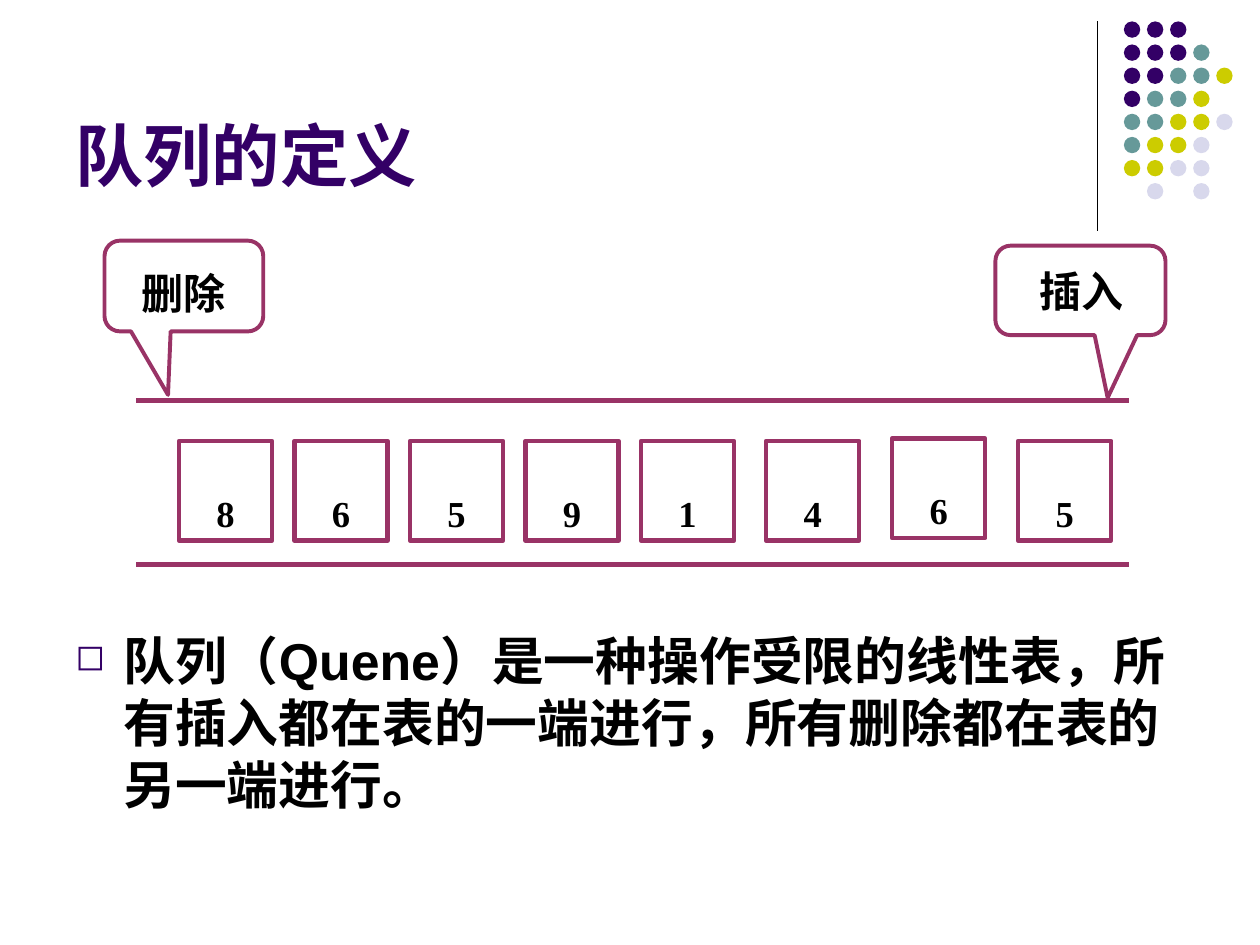
from pptx import Presentation, util as u
from pptx.dml import color
from pptx.enum import shapes, text
from pptx.oxml import ns
from lxml import etree

INK, WINE, BLACK, WHITE = "330066", "993366", "000000", "FFFFFF"
LATIN, SERIF, HAN = "Arial", "Times New Roman", "Noto Sans CJK SC"
KIND = shapes.MSO_SHAPE
LEFT, MID = text.PP_ALIGN.LEFT, text.PP_ALIGN.CENTER
LOW, HALF, TOP = (text.MSO_ANCHOR.BOTTOM, text.MSO_ANCHOR.MIDDLE,
                  text.MSO_ANCHOR.TOP)


def rgb(code):
    return color.RGBColor.from_string(code)


def apply(target, values):
    for key, value in values.items():
        setattr(target, key, value)


def add(parent, tag, **attrs):
    node = etree.SubElement(parent, ns.qn(tag))
    for key, value in attrs.items():
        node.set(key, value)
    return node


class Deck:
    def __init__(self, wide, high):
        self.show = Presentation()
        self.show.slide_width = u.Inches(wide)
        self.show.slide_height = u.Inches(high)
        self.slide = self.show.slides.add_slide(self.show.slide_layouts[6])
        self.items = self.slide.shapes

    def shape(self, kind, box, fill=None, line=None, width=2.5):
        item = self.items.add_shape(kind, *map(u.Inches, box))
        item.shadow.inherit = False
        if fill:
            item.fill.solid()
            item.fill.fore_color.rgb = rgb(fill)
        else:
            item.fill.background()
        if line:
            item.line.color.rgb = rgb(line)
            item.line.width = u.Pt(width)
        else:
            item.line.fill.background()
        return item

    def rule(self, start, end, tone, width):
        item = self.items.add_connector(
            shapes.MSO_CONNECTOR.STRAIGHT, *map(u.Inches, start + end))
        item.line.color.rgb = rgb(tone)
        item.line.width = u.Pt(width)
        add(item._element.spPr, "a:effectLst")

    def letter(self, item, words, size, face, tone=BLACK, align=MID,
               anchor=HALF, base=0, foot=0.05):
        """Put one bold paragraph into a shape and return the paragraph."""
        frame = item.text_frame
        apply(frame, {"word_wrap": True, "vertical_anchor": anchor,
                      "margin_left": u.Inches(0.1),
                      "margin_right": u.Inches(0.1),
                      "margin_top": u.Inches(0.05),
                      "margin_bottom": u.Inches(foot)})
        para = frame.paragraphs[0]
        para.alignment = align
        run = para.add_run()
        run.text = words
        apply(run.font, {"size": u.Pt(size), "name": face, "bold": True})
        run.font.color.rgb = rgb(tone)
        props = run._r.get_or_add_rPr()
        add(props, "a:ea", typeface=HAN)
        if base:
            props.set("baseline", str(base * 1000))
        return para

    def label(self, box, words, size, face, **style):
        item = self.items.add_textbox(*map(u.Inches, box))
        return self.letter(item, words, size, face, **style)

    def bullet(self, para, mark, tone, indent, scale):
        props = para._p.get_or_add_pPr()
        props.set("marL", str(u.Inches(indent)))
        props.set("indent", str(-u.Inches(indent)))
        add(add(props, "a:buClr"), "a:srgbClr", val=tone)
        add(props, "a:buSzPct", val=str(scale * 1000))
        add(props, "a:buChar", char=mark)

    def cell(self, left, top, digit):
        item = self.shape(KIND.RECTANGLE, (left, top, 0.74, 0.79), WHITE, WINE)
        self.letter(item, digit, 36, SERIF, anchor=LOW, base=-25)

    def callout(self, box, adjust, turn=0):
        item = self.shape(KIND.ROUNDED_RECTANGULAR_CALLOUT, box,
                          line=WINE, width=2.25)
        item.rotation = turn
        for spot, value in enumerate(adjust):
            item.adjustments[spot] = value


def main():
    deck = Deck(10, 7.5)

    deck.rule((8.71, 0.17), (8.71, 1.83), BLACK, 0.75)
    tones = {"P": INK, "T": "669999", "Y": "CCCC00", "L": "D8D8EC"}
    dots = "PPP PPPT PPTTY PTTY TTYYL TYYL YYLL -L-L"
    step = 0.55 / 3
    for row, line in enumerate(dots.split()):
        for col, key in enumerate(line):
            if key in tones:
                spot = (8.92 + col * step, 0.17 + row * step, 0.13, 0.13)
                deck.shape(KIND.OVAL, spot, tones[key])

    deck.label((0.5, 0.13, 8.25, 1.42), "队列的定义", 39, LATIN, tone=INK,
               align=LEFT, anchor=LOW, foot=0)
    para = deck.label(
        (0.5, 4.94, 9, 1.76),
        "队列（Quene）是一种操作受限的线性表，"
        "所有插入都在表的一端进行，所有删除都在表的另一端进行。",
        29.6, LATIN, align=LEFT, anchor=TOP)
    para.line_spacing = u.Pt(35.4)
    deck.bullet(para, "◻", INK, 0.38, 70)

    for spot, digit in enumerate("86591"):
        deck.cell(1.42 + spot * 2.75 / 3, 3.5, digit)
    for y in (3.18, 4.48):
        deck.rule((1.08, y), (8.96, y), WINE, 2.5)
    deck.callout((7.9, 1.95, 1.35, 0.71), (0.16, 1.2, 0.17))
    deck.callout((1.1, 1.64, 0.72, 1.26), (-1.2, -0.1, 0.17), 270)
    deck.label((8.01, 2.06, 1.15, 0.5), "插入", 24, SERIF)
    deck.label((0.91, 2.07, 1.09, 0.5), "删除", 24, SERIF)
    for spot, (digit, top) in enumerate((("4", 3.5), ("6", 3.48), ("5", 3.5))):
        deck.cell(6.08 + spot, top, digit)

    deck.show.save("out.pptx")


if __name__ == "__main__":
    main()
